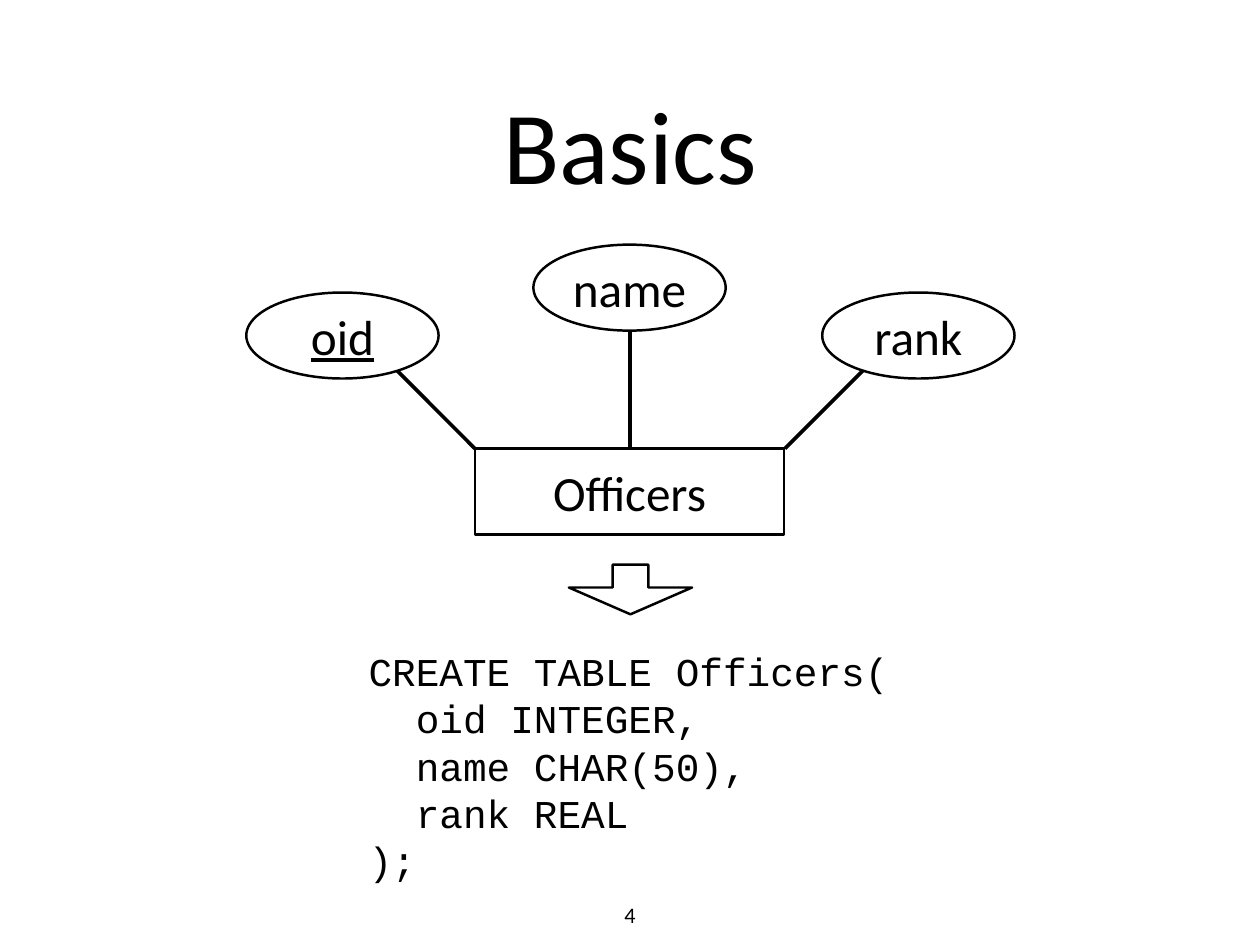
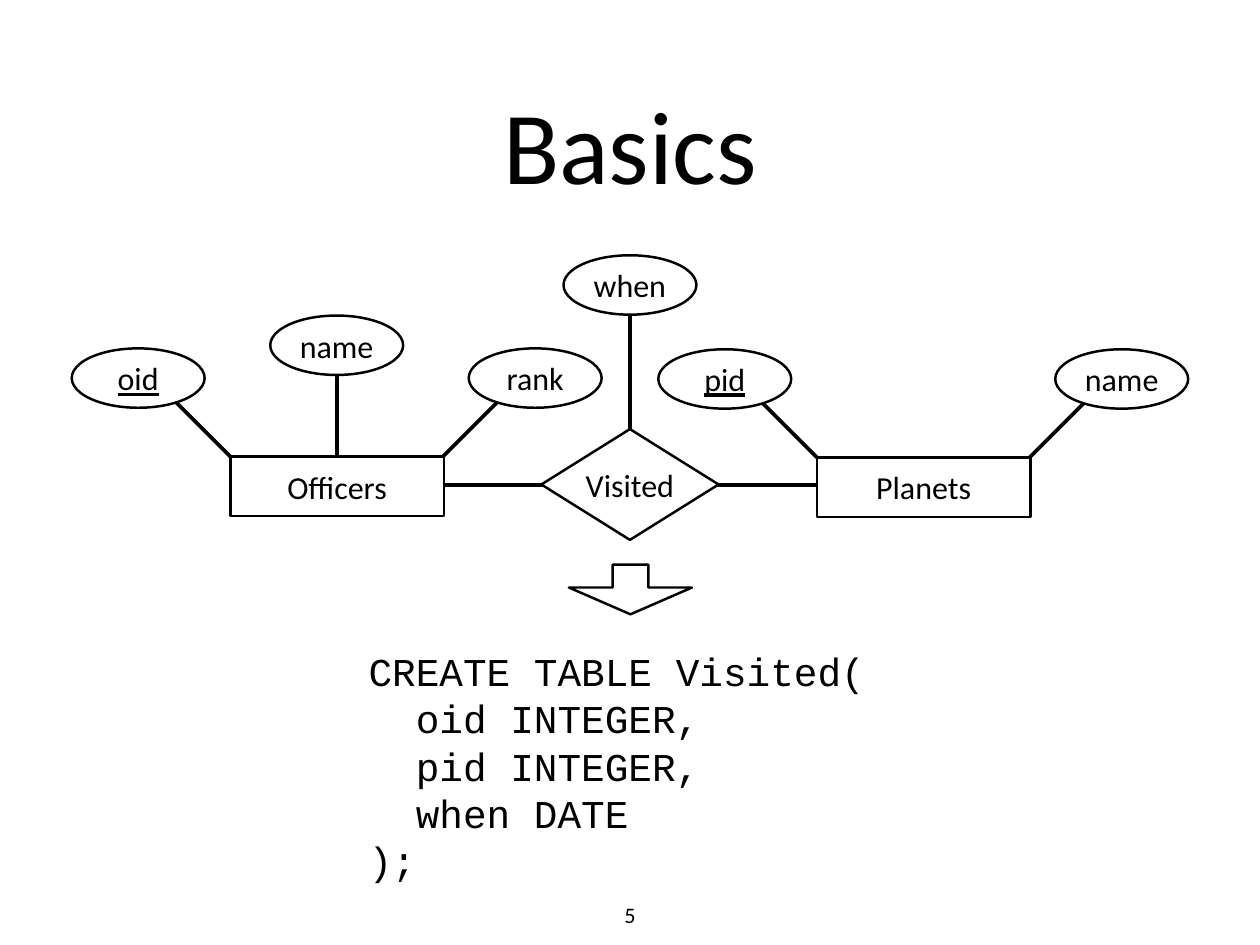
from lxml import etree
from pptx import Presentation
from pptx.dml.color import RGBColor
from pptx.enum import shapes, text
from pptx.oxml import ns
from pptx.util import Pt

PX = 9144
WIDE, HIGH = 1422, 1066
MID = WIDE // 2
INK = RGBColor(0, 0, 0)
PAPER = RGBColor(255, 255, 255)
SANS, MONO = "Calibri", "Courier New"
KIND = shapes.MSO_SHAPE
TITLE_BOX = (139, 28, 1144, 267)
CODE_BOX = (416, 730, 587, 267)
PAGE_BOX = (692, 1012, 38, 40)
ARROW = (MID, 665, 139, 56)

OVAL = (217, 97)
RECT = (349, 97)
REACH = 110
SLOTS = {"left": (-325, -128), "mid": (0, -182), "right": (325, -128)}
KEYS = {"oid", "pid"}
CREW = {"left": "oid", "mid": "name", "right": "rank"}
SITES = {"left": "pid", "right": "name"}

PAGES = [
    {
        "title": "Basics", "page": "4", "scale": 1, "size": 40,
        "tables": [("Officers", MID, 506, CREW)],
        "link": None,
        "code": ["CREATE TABLE Officers(", "  oid INTEGER,",
                 "  name CHAR(50),", "  rank REAL", ");"],
    },
    {
        "title": "Basics", "page": "5", "scale": 0.69, "size": 26,
        "tables": [("Officers", 380, 515, CREW),
                   ("Planets", 1042, 516, SITES)],
        "link": ("Visited", (MID, 547, 200, 125), "when", (MID, 321)),
        "code": ["CREATE TABLE Visited(", "  oid INTEGER,",
                 "  pid INTEGER,", "  when DATE", ");"],
    },
]


def emu(*vals):
    return [round(v) * PX for v in vals]


def style(frame, size, font=SANS, align=text.PP_ALIGN.CENTER,
          pad=0, wrap=False, anchor=text.MSO_ANCHOR.MIDDLE):
    frame.word_wrap = wrap
    frame.auto_size = text.MSO_AUTO_SIZE.NONE
    frame.vertical_anchor = anchor
    frame.margin_left = frame.margin_right = pad * PX
    frame.margin_top = frame.margin_bottom = pad * PX
    for para in frame.paragraphs:
        para.alignment = align
        for run in para.runs:
            run.font.name = font
            run.font.size = Pt(size)
            run.font.color.rgb = INK


def wire(slide, start, end):
    line = slide.shapes.add_connector(
        shapes.MSO_CONNECTOR.STRAIGHT, *emu(*start, *end))
    line.line.color.rgb = INK
    line.line.width = Pt(3)
    etree.SubElement(line._element.spPr, ns.qn("a:effectLst"))


def node(slide, kind, mid, dims, label="", size=18):
    wide, high = dims
    box = (mid[0] - wide / 2, mid[1] - high / 2, wide, high)
    shape = slide.shapes.add_shape(kind, *emu(*box))
    shape.shadow.inherit = False
    shape.fill.solid()
    shape.fill.fore_color.rgb = PAPER
    shape.line.color.rgb = INK
    shape.line.width = Pt(2)
    if label:
        shape.text_frame.text = label
        style(shape.text_frame, size)
        if label in KEYS:
            shape.text_frame.paragraphs[0].runs[0].font.underline = True
    return shape


def label(slide, box, words, size, **look):
    frame = slide.shapes.add_textbox(*emu(*box)).text_frame
    frame.text = words
    style(frame, size, **look)
    return frame


def chart(slide, page):
    scale = page["scale"]
    oval = [v * scale for v in OVAL]
    rect = [v * scale for v in RECT]
    wires, nodes = [], []
    for name, mid, top, parts in page["tables"]:
        hub = (mid, top + rect[1] / 2)
        nodes.append((KIND.RECTANGLE, hub, rect, name))
        for slot, part in parts.items():
            dx, dy = SLOTS[slot]
            spot = (mid + dx * scale, top + dy * scale)
            nodes.append((KIND.OVAL, spot, oval, part))
            if slot == "mid":
                wires.append((spot, hub))
            else:
                side = 1 if dx > 0 else -1
                edge = mid + side * rect[0] / 2
                far = REACH * scale
                wires.append(((edge + side * far, top - far), (edge, top)))
        if page["link"]:
            x, y = page["link"][1][:2]
            wires.append(((mid, y), (x, y)))
    if page["link"]:
        name, (x, y, wide, high), part, spot = page["link"]
        wires.append((spot, (x, y)))
        nodes.append((KIND.DIAMOND, (x, y), (wide, high), name))
        nodes.append((KIND.OVAL, spot, oval, part))
    for ends in wires:
        wire(slide, *ends)
    for item in nodes:
        node(slide, *item, size=page["size"])


def build(deck, page):
    slide = deck.slides.add_slide(deck.slide_layouts[5])
    title = slide.shapes.title
    title.left, title.top, title.width, title.height = emu(*TITLE_BOX)
    title.text_frame.text = page["title"]
    style(title.text_frame, 84, pad=6, wrap=True)
    chart(slide, page)
    arrow = node(slide, KIND.DOWN_ARROW, ARROW[:2], ARROW[2:])
    arrow.adjustments[0], arrow.adjustments[1] = 0.29, 0.54
    code = label(slide, CODE_BOX, "\n".join(page["code"]), 32,
                 font=MONO, align=text.PP_ALIGN.LEFT)
    for para in code.paragraphs:
        para.line_spacing = Pt(38.4)
    label(slide, PAGE_BOX, page["page"], 18, pad=5,
          anchor=text.MSO_ANCHOR.TOP)


def main():
    deck = Presentation()
    deck.slide_width, deck.slide_height = emu(WIDE, HIGH)
    for page in PAGES:
        build(deck, page)
    deck.save("out.pptx")


if __name__ == "__main__":
    main()
